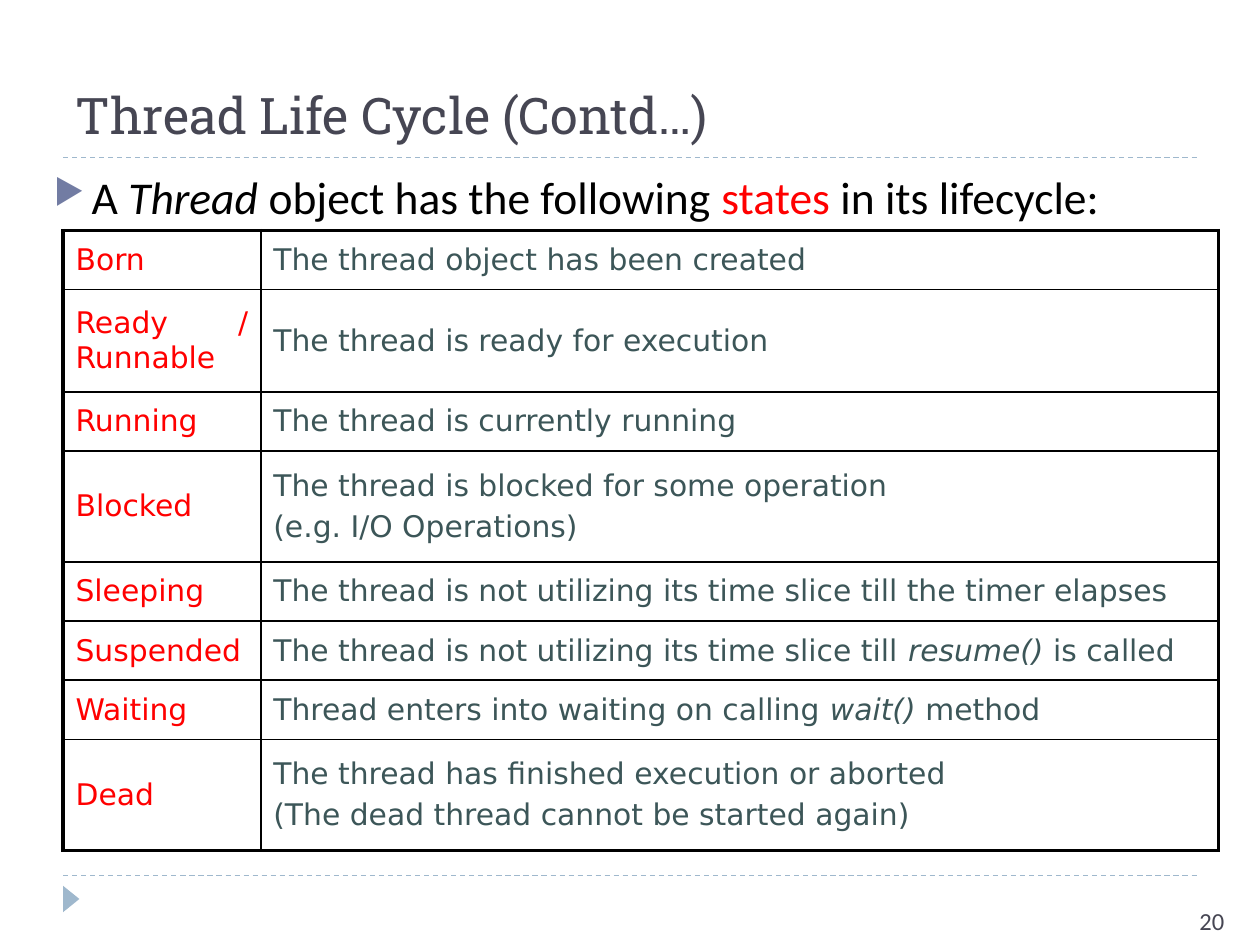
from lxml import etree
from pptx import Presentation
from pptx.dml.color import RGBColor
from pptx.enum.dml import MSO_LINE
from pptx.enum.shapes import MSO_CONNECTOR, MSO_SHAPE
from pptx.enum.text import MSO_ANCHOR, MSO_AUTO_SIZE, PP_ALIGN
from pptx.oxml.ns import qn
from pptx.util import Inches, Pt

STRAIGHT = MSO_CONNECTOR.STRAIGHT
TRIANGLE = MSO_SHAPE.ISOSCELES_TRIANGLE
DASH = MSO_LINE.DASH
MIDDLE, BOTTOM, TOP = MSO_ANCHOR.MIDDLE, MSO_ANCHOR.BOTTOM, MSO_ANCHOR.TOP
JUSTIFY, LEFT = PP_ALIGN.JUSTIFY, PP_ALIGN.LEFT

INK, RED, TEAL = "464653", "FF0000", "3C5658"
BLACK, PALE, BULLET = "000000", "9FB8CD", "727CA3"
COLUMNS = [1.57, 7.6]
SHORT, TALL, TALLER = 0.47, 0.81, 0.88
STATES = [
    (SHORT, "Born", [["The thread object has been created"]]),
    (TALL, "Ready / Runnable", [["The thread is ready for execution"]]),
    (SHORT, "Running", [["The thread is currently running"]]),
    (TALLER, "Blocked", [["The thread is blocked for some operation"],
                         ["(e.g. I/O Operations)"]]),
    (SHORT, "Sleeping",
     [["The thread is not utilizing its time slice till the timer elapses"]]),
    (SHORT, "Suspended",
     [["The thread is not utilizing its time slice till ", "resume()", " is called"]]),
    (SHORT, "Waiting",
     [["Thread enters into waiting on calling ", "wait()", " method"]]),
    (TALLER, "Dead", [["The thread has finished execution or aborted "],
                      ["(The dead thread cannot be started again)"]]),
]


def color(value):
    """Turn a hex string into a colour."""
    return RGBColor.from_string(value)


def inches(*lengths):
    """Convert several lengths."""
    return [Inches(length) for length in lengths]


def add_span(para, text, size, font, shade, italic=False):
    """Add one formatted run to a paragraph."""
    span = para.add_run()
    span.text = text
    span.font.size = Pt(size)
    span.font.name = font
    span.font.italic = italic
    span.font.color.rgb = color(shade)


def add_title(page, left, top, width, height):
    """Place and format the title placeholder."""
    title = page.shapes.title
    title.left, title.top, title.width, title.height = inches(left, top, width, height)
    frame = title.text_frame
    frame.auto_size = MSO_AUTO_SIZE.NONE
    frame.vertical_anchor = BOTTOM
    para = frame.paragraphs[0]
    para.alignment = LEFT
    add_span(para, "Thread Life Cycle (Contd…)", 28.8, "Roboto Slab", INK)


def add_rule(page, left, top, width):
    """Draw a dashed horizontal rule."""
    rule = page.shapes.add_connector(STRAIGHT, *inches(left, top, left + width, top))
    rule.line.color.rgb = color(PALE)
    rule.line.width = Pt(0.75)
    rule.line.dash_style = DASH
    etree.SubElement(rule._element.spPr, qn("a:effectLst"))


def add_text_box(page, left, top, width, height):
    """Add a wrapping text box and return its first paragraph."""
    box = page.shapes.add_textbox(*inches(left, top, width, height))
    box.text_frame.word_wrap = True
    box.text_frame.vertical_anchor = TOP
    return box.text_frame.paragraphs[0]


def add_lead(page, left, top, width, height):
    """Write the bulleted sentence above the table."""
    para = add_text_box(page, left, top, width, height)
    for text, shade, italic in [("A ", BLACK, False), ("Thread", BLACK, True),
                                (" object has the following ", BLACK, False),
                                ("states", RED, False),
                                (" in its lifecycle:", BLACK, False)]:
        add_span(para, text, 26, "Calibri", shade, italic)
    properties = para._p.get_or_add_pPr()
    properties.set("marL", str(Inches(0.3)))
    properties.set("indent", str(-Inches(0.3)))
    bullet_color = etree.SubElement(properties, qn("a:buClr"))
    etree.SubElement(bullet_color, qn("a:srgbClr"), val=BULLET)
    etree.SubElement(properties, qn("a:buSzPct"), val="76000")
    etree.SubElement(properties, qn("a:buChar"), char="▶")


def set_borders(cell, widths):
    """Draw the left, right, top and bottom borders of a cell."""
    properties = cell._tc.get_or_add_tcPr()
    for index, (side, width) in enumerate(zip("LRTB", widths)):
        border = etree.Element(qn("a:ln" + side), w=str(Pt(width)))
        fill = etree.SubElement(border, qn("a:solidFill"))
        etree.SubElement(fill, qn("a:srgbClr"), val=BLACK)
        properties.insert(index, border)


def fill_cell(cell, lines, shade):
    """Write lines in a cell, with every second run in italics."""
    cell.fill.background()
    cell.vertical_anchor = MIDDLE
    frame = cell.text_frame
    for number, parts in enumerate(lines):
        para = frame.add_paragraph() if number else frame.paragraphs[0]
        para.alignment = JUSTIFY
        para.space_before = Pt(3.5)
        for index, text in enumerate(parts):
            add_span(para, text, 17, "DejaVu Sans", shade, index % 2 == 1)


def add_states(page, left, top):
    """Build the table of thread states."""
    heights = [state[0] for state in STATES]
    frame = page.shapes.add_table(len(STATES), len(COLUMNS),
                                  *inches(left, top, sum(COLUMNS), sum(heights)))
    table = frame.table
    table.first_row = table.horz_banding = False
    for column, width in zip(table.columns, COLUMNS):
        column.width = Inches(width)
    last = len(STATES) - 1
    for index, (height, name, lines) in enumerate(STATES):
        table.rows[index].height = Inches(height)
        upper = 2.25 if index == 0 else 1
        lower = 2.25 if index == last else 1
        label, meaning = table.cell(index, 0), table.cell(index, 1)
        fill_cell(label, [[name]], RED)
        fill_cell(meaning, lines, TEAL)
        set_borders(label, [2.25, 1, upper, lower])
        set_borders(meaning, [1, 2.25, upper, lower])


def add_footer(page, left, top, width):
    """Draw the bottom rule, its marker and the page number."""
    add_rule(page, left, top, width)
    marker = page.shapes.add_shape(TRIANGLE, *inches(left - 0.04, top + 0.12, 0.21, 0.13))
    marker.rotation = 90
    marker.shadow.inherit = False
    marker.fill.solid()
    marker.fill.fore_color.rgb = color(PALE)
    marker.line.fill.background()
    para = add_text_box(page, left + 8.92, top + 0.19, 0.58, 0.2)
    add_span(para, "20", 14, "Calibri", INK)


def main():
    """Build and save the slide."""
    deck = Presentation()
    deck.slide_width, deck.slide_height = inches(10, 7.5)
    page = deck.slides.add_slide(deck.slide_layouts[5])
    add_title(page, 0.5, 0.73, 7.31, 0.47)
    add_rule(page, 0.5, 1.25, 9)
    add_lead(page, 0.33, 1.29, 9, 0.54)
    add_states(page, 0.5, 1.83)
    add_footer(page, 0.5, 6.95, 9)
    deck.save("out.pptx")


main()
